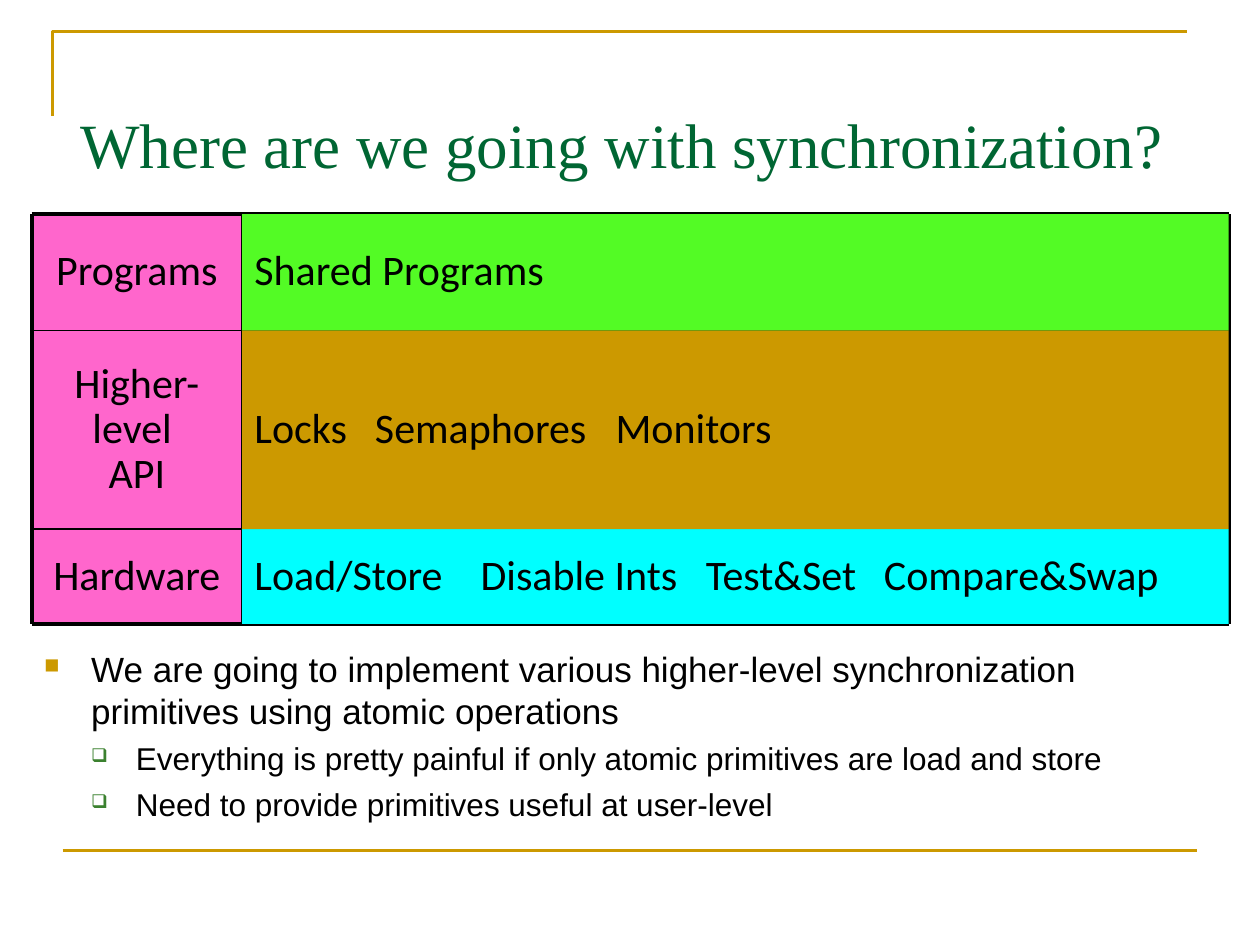
from lxml import etree
from pptx import Presentation
from pptx.dml.color import RGBColor
from pptx.enum import shapes, text
from pptx.oxml.ns import qn
from pptx.util import Cm, Pt

GOLD, BLACK, PINK = "CC9900", "000000", "FF66CC"
SPLIT = 4.24
ROWS = [
    ("Programs", "Shared Programs", "53FB25", 2.34, []),
    ("Higher-level \vAPI", "Locks\tSemaphores\tMonitors", GOLD, 4.01, [2.43, 7.28]),
    ("Hardware", "Load/Store\tDisable Ints\tTest&Set\tCompare&Swap",
     "00FFFF", 1.91, [4.56, 9.1, 12.69]),
]
POINTS = [
    (0, "We are going to implement various higher-level synchronization "
        "primitives using atomic operations"),
    (1, "Everything is pretty painful if only atomic primitives are load and store"),
    (1, "Need to provide primitives useful at user-level"),
]
LEVELS = [("■", GOLD, 60, 0.95, 0.95, 20, 5), ("❑", "3B812F", 60, 1.85, 0.9, 18, 4.5)]


def color(code):
    """Turn a hex string into a colour."""
    return RGBColor.from_string(code)


def style(para, face, size, code=BLACK):
    """Set the font of a paragraph."""
    font = para.font
    font.name, font.size, font.color.rgb = face, Pt(size), color(code)


def stroke(shape, code, width):
    """Give a line shape its stroke and no shadow."""
    shape.line.color.rgb = color(code)
    shape.line.width = Pt(width)
    props = shape._element.spPr
    if props.find(qn("a:effectLst")) is None:
        etree.SubElement(props, qn("a:effectLst"))


def rule(host, x, y, across, down, code, width):
    """Draw a straight line from a point by an offset."""
    line = host.shapes.add_connector(
        shapes.MSO_CONNECTOR.STRAIGHT, Cm(x), Cm(y), Cm(x + across), Cm(y + down))
    stroke(line, code, width)


def frame(slide, left, top, width, height):
    """Draw the corner line at the top and the line at the foot."""
    path = slide.shapes.build_freeform(Cm(left), Cm(top + 1.7))
    path.add_line_segments(
        [(Cm(left), Cm(top)), (Cm(left + width), Cm(top))], close=False)
    corner = path.convert_to_shape()
    corner.fill.background()
    stroke(corner, GOLD, 1.5)
    rule(slide, left + 0.2, top + height, width, 0, GOLD, 1.5)


def box(slide, left, top, width, height):
    """Add a wrapping text box and return its frame."""
    area = slide.shapes.add_textbox(Cm(left), Cm(top), Cm(width), Cm(height))
    area.text_frame.word_wrap = True
    return area.text_frame


def title(slide, *place):
    """Write the heading."""
    area = box(slide, *place)
    area.margin_top = Cm(0.11)
    para = area.paragraphs[0]
    para.text = "Where are we going with synchronization?"
    style(para, "Times New Roman", 36, "006633")


def cell(host, place, words, code, align, stops=()):
    """Add a filled rectangle with text and tab stops."""
    shape = host.shapes.add_shape(
        shapes.MSO_SHAPE.RECTANGLE, *(Cm(part) for part in place))
    shape.shadow.inherit = False
    shape.fill.solid()
    shape.fill.fore_color.rgb = color(code)
    shape.line.fill.background()
    area = shape.text_frame
    area.word_wrap = True
    area.vertical_anchor = text.MSO_ANCHOR.MIDDLE
    para = area.paragraphs[0]
    para.text, para.alignment, para.line_spacing = words, align, 0.9
    if stops:
        tabs = etree.SubElement(para._p.get_or_add_pPr(), qn("a:tabLst"))
        for stop in stops:
            etree.SubElement(tabs, qn("a:tab"), pos=str(Cm(stop)), algn="l")
    style(para, "Calibri", 24)


def edges():
    """List the row edges measured from the top of the grid."""
    return [sum(row[3] for row in ROWS[:i]) for i in range(len(ROWS) + 1)]


def labels(slide, left, top, width, height):
    """Draw the name column and the ruled grid as one group."""
    group = slide.shapes.add_group_shape()
    marks = edges()
    for (name, _, _, tall, _), y in reversed(list(zip(ROWS, marks))):
        cell(group, (left, top + y, SPLIT, tall), name, PINK, text.PP_ALIGN.CENTER)
    for y in marks:
        rule(group, left, top + y, width, 0, BLACK, 2.25 if y in (0, marks[-1]) else 1)
    for x, thick in ((0, 2.25), (SPLIT, 1), (width, 2.25)):
        rule(group, left + x, top, 0, height, BLACK, thick)


def layers(slide, left, top, width, height):
    """Draw the coloured bands beside the names."""
    for (_, words, code, tall, stops), y in reversed(list(zip(ROWS, edges()))):
        cell(slide, (left + SPLIT, top + y, width - SPLIT, tall),
             words, code, text.PP_ALIGN.LEFT, stops)


def bullet(para, mark, code, size, left, hang):
    """Give a paragraph its bullet and indent."""
    props = para._p.get_or_add_pPr()
    props.set("marL", str(Cm(left)))
    props.set("indent", str(-Cm(hang)))
    tint = etree.SubElement(props, qn("a:buClr"))
    etree.SubElement(tint, qn("a:srgbClr"), val=code)
    etree.SubElement(props, qn("a:buSzPct"), val=str(size * 1000))
    etree.SubElement(props, qn("a:buChar"), char=mark)


def points(slide, *place):
    """Write the bulleted points."""
    area = box(slide, *place)
    for i, (level, words) in enumerate(POINTS):
        para = area.add_paragraph() if i else area.paragraphs[0]
        para.text, para.level = words, level
        *look, size, gap = LEVELS[level]
        if i:
            para.space_before = Pt(gap)
        bullet(para, *look)
        style(para, "Arial", size)


def main():
    """Build the slide and save it."""
    deck = Presentation()
    deck.slide_width, deck.slide_height = Cm(25.4), Cm(19.05)
    slide = deck.slides.add_slide(deck.slide_layouts[6])
    grid = (0.64, 4.32, 24.13, edges()[-1])
    frame(slide, 1.06, 0.64, 22.86, 16.51)
    labels(slide, *grid)
    title(slide, 1.37, 2.01, 22.66, 1.47)
    points(slide, 0.64, 12.93, 23.93, 4.42)
    layers(slide, *grid)
    deck.save("out.pptx")


if __name__ == "__main__":
    main()
